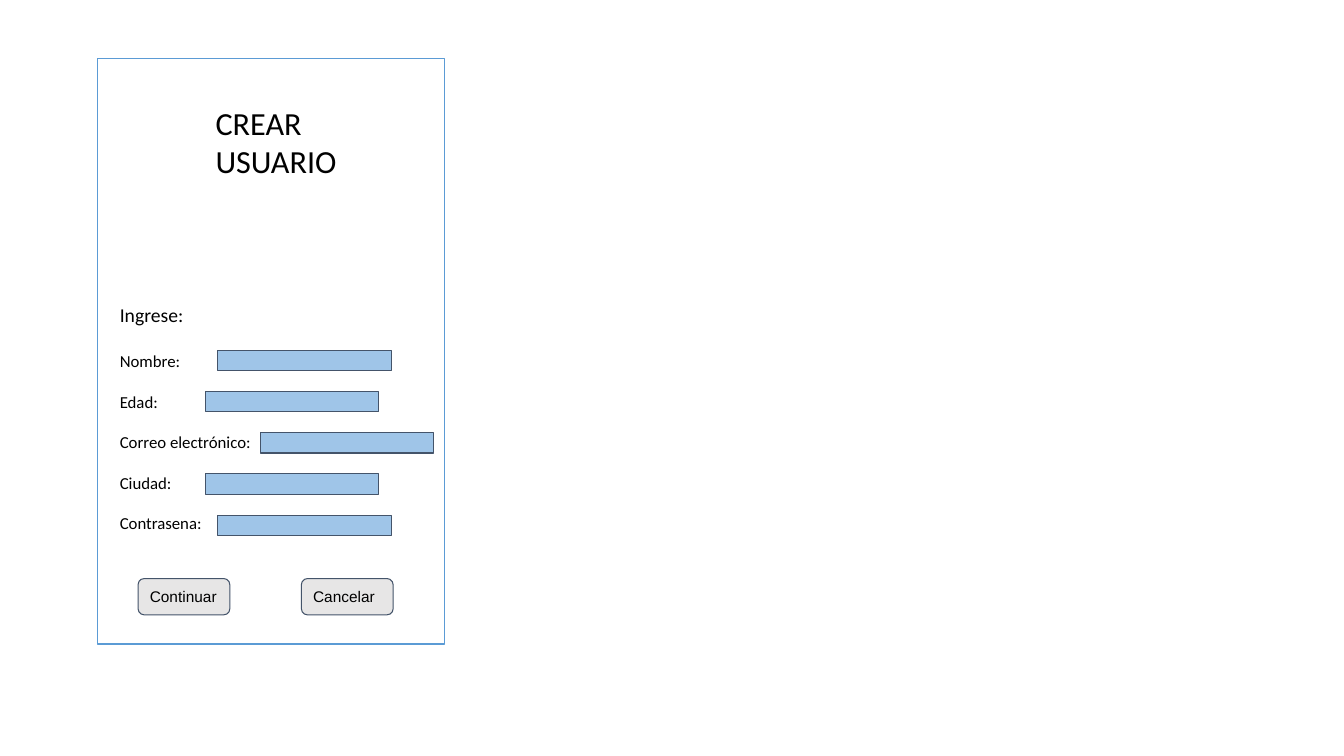
from pptx import Presentation
from pptx.dml.color import RGBColor
from pptx.enum.shapes import MSO_SHAPE
from pptx.enum.text import MSO_ANCHOR, PP_ALIGN
from pptx.util import Inches, Pt

WHITE = RGBColor(0xFF, 0xFF, 0xFF)
BLACK = RGBColor(0x00, 0x00, 0x00)
PANEL_BLUE = RGBColor(0x5B, 0x9B, 0xD5)
FIELD_BLUE = RGBColor(0x9F, 0xC5, 0xE8)
BUTTON_GREY = RGBColor(0xE7, 0xE6, 0xE6)
SLATE = RGBColor(0x44, 0x54, 0x6A)

SLIDE_WIDTH, SLIDE_HEIGHT = Inches(13.33), Inches(7.5)
COLUMNS, ROWS = 160, 90

FIELD_TOP, FIELD_PITCH = 41.76, 4.89
FIELDS = [
    ("Nombre:", 25.92),
    ("Edad:", 24.48),
    ("Correo electrónico:", 30.96),
    ("Ciudad:", 24.48),
    ("Contrasena:", 25.92),
]
BUTTONS = [("Continuar", 16.44), ("Cancelar", 35.88)]


def cells(left, top, width, height):
    column, row = SLIDE_WIDTH / COLUMNS, SLIDE_HEIGHT / ROWS
    return (round(left * column), round(top * row),
            round(width * column), round(height * row))


def add_box(slide, kind, area, fill, line, line_width):
    box = slide.shapes.add_shape(kind, *cells(*area))
    box.shadow.inherit = False
    box.fill.solid()
    box.fill.fore_color.rgb = fill
    box.line.color.rgb = line
    box.line.width = Pt(line_width)
    return box


def write_lines(shape, lines, font, anchor=MSO_ANCHOR.TOP):
    frame = shape.text_frame
    frame.word_wrap = True
    frame.vertical_anchor = anchor
    frame.margin_left = frame.margin_right = Inches(0.1)
    frame.margin_top = frame.margin_bottom = Inches(0.1)
    for index, (text, size, space_before) in enumerate(lines):
        paragraph = frame.add_paragraph() if index else frame.paragraphs[0]
        paragraph.alignment = PP_ALIGN.LEFT
        paragraph.space_before = Pt(space_before)
        run = paragraph.add_run()
        run.text = text
        run.font.name = font
        run.font.size = Pt(size)
        run.font.color.rgb = BLACK


def add_text(slide, area, lines):
    write_lines(slide.shapes.add_textbox(*cells(*area)), lines, "Calibri")


def add_field(slide, row, left):
    area = (left, FIELD_TOP + row * FIELD_PITCH, 20.64, 2.4)
    add_box(slide, MSO_SHAPE.RECTANGLE, area, FIELD_BLUE, SLATE, 0.75)


def add_button(slide, caption, left):
    area = (left, 68.88, 10.92, 4.32)
    button = add_box(slide, MSO_SHAPE.ROUNDED_RECTANGLE, area, BUTTON_GREY, SLATE, 0.75)
    write_lines(button, [(caption, 11, 0)], "Arial", MSO_ANCHOR.MIDDLE)


def main():
    deck = Presentation()
    deck.slide_width, deck.slide_height = SLIDE_WIDTH, SLIDE_HEIGHT
    slide = deck.slides.add_slide(deck.slide_layouts[6])

    add_box(slide, MSO_SHAPE.RECTANGLE, (11.64, 6.96, 41.28, 69.72), WHITE, PANEL_BLUE, 1)
    add_text(slide, (24.48, 11.04, 27.12, 11.76), [("CREAR USUARIO", 23, 0)])

    labels = [("Ingrese:", 14, 0)]
    for row, (label, _) in enumerate(FIELDS):
        labels.append((label, 12, 14.6 if row else 17))
    add_text(slide, (13.08, 34.92, 23.76, 29.88), labels)

    for row, (_, left) in enumerate(FIELDS):
        add_field(slide, row, left)
    for caption, left in BUTTONS:
        add_button(slide, caption, left)

    deck.save("out.pptx")


main()
